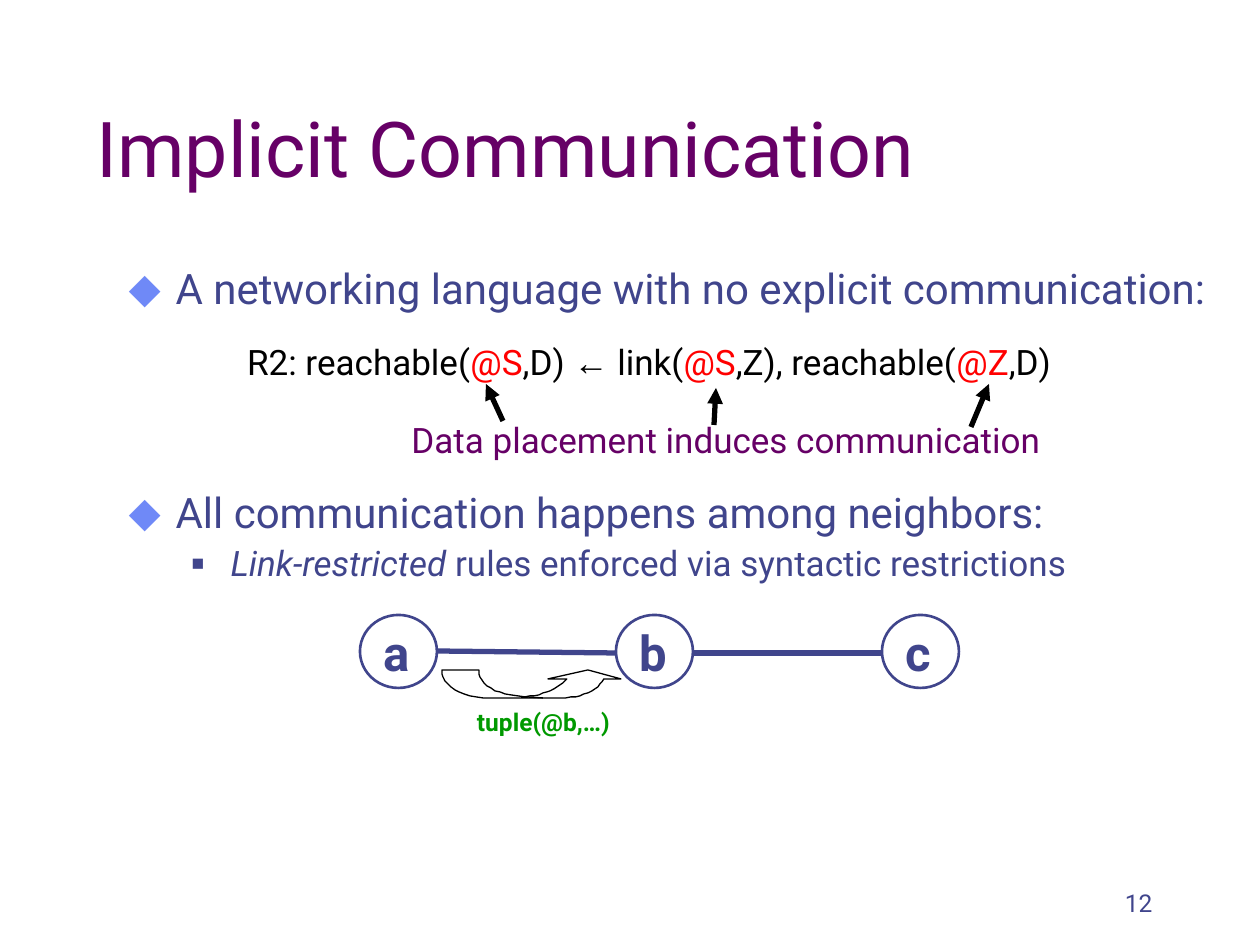
import pptx
import pptx.dml.color
import pptx.enum.shapes
import pptx.enum.text
import pptx.oxml
import pptx.util

PX = 914400 // 126
INDIGO, PURPLE, RED, BLACK = "40458C", "660066", "FF0000", "000000"
NAMESPACE = 'xmlns:a="http://schemas.openxmlformats.org/drawingml/2006/main"'
ALIGN = pptx.enum.text.PP_ALIGN
ANCHOR = pptx.enum.text.MSO_ANCHOR
Pt = pptx.util.Pt


def rgb(value):
    return pptx.dml.color.RGBColor.from_string(value)


def write(paragraph, pieces, size, bold=False):
    """Fill a paragraph with runs given as (text, colour) pairs."""
    for text, colour in pieces:
        run = paragraph.add_run()
        run.text = text
        run.font.name = "Arial" if text == "←" else "Roboto"
        run.font.size = Pt(size)
        run.font.bold = bold
        run.font.color.rgb = rgb(colour)


presentation = pptx.Presentation()
presentation.slide_width = 1260 * PX
presentation.slide_height = 945 * PX
slide = presentation.slides.add_slide(presentation.slide_layouts[1])
shapes = slide.shapes

# Title and bullet list
title, body = shapes.title, slide.placeholders[1]
for placeholder, (left, top, width, height) in (
    (title, (84, 42, 1071, 157)),
    (body, (116, 262, 1103, 567)),
):
    placeholder.left, placeholder.top = left * PX, top * PX
    placeholder.width, placeholder.height = width * PX, height * PX
    placeholder.text_frame.auto_size = pptx.enum.text.MSO_AUTO_SIZE.NONE
title.text_frame.vertical_anchor = ANCHOR.BOTTOM
title.text_frame.paragraphs[0].alignment = ALIGN.LEFT
write(title.text_frame.paragraphs[0], [("Implicit Communication", PURPLE)], 44)

# text, level, size, space before, left margin, hanging indent, bullet, colour, percent
bullets = [
    ("A networking language with no explicit communication:",
     0, 24, 6, 47, 47, "⬥", "6F89F7", 110),
    ("All communication happens among neighbors:",
     0, 24, 102, 47, 47, "⬥", "6F89F7", 110),
    ("Link-restricted | rules enforced via syntactic restrictions".replace(" | ", " |"),
     1, 20, 5, 102, 39, "■", INDIGO, 60),
]
for index, (text, level, size, before, margin, hang, mark, colour, percent) in enumerate(bullets):
    frame = body.text_frame
    paragraph = frame.add_paragraph() if index else frame.paragraphs[0]
    paragraph.level = level
    paragraph.line_spacing = 0.9
    paragraph.space_before = Pt(before)
    write(paragraph, [(part, INDIGO) for part in text.split("|")], size)
    properties = paragraph._p.get_or_add_pPr()
    properties.set("marL", str(margin * PX))
    properties.set("indent", str(-hang * PX))
    for element in (
        f'<a:buClr {NAMESPACE}><a:srgbClr val="{colour}"/></a:buClr>',
        f'<a:buSzPct {NAMESPACE} val="{percent * 1000}"/>',
        f'<a:buFont {NAMESPACE} typeface="Arial"/>',
        f'<a:buChar {NAMESPACE} char="{mark}"/>',
    ):
        properties.append(pptx.oxml.parse_xml(element))
paragraph.runs[0].font.italic = True

# Rule, captions and page number
rule = [
    ("R2: reachable(", BLACK), ("@S", RED), (",D) ", BLACK), ("←", BLACK),
    (" link(", BLACK), ("@S", RED), (",Z), reachable(", BLACK),
    ("@Z", RED), (",D)", BLACK),
]
labels = [
    ((215, 334, 868, 55), rule, 20, False, ALIGN.CENTER, ANCHOR.TOP),
    ((348, 412, 756, 55), [("Data placement induces communication", PURPLE)],
     20, False, ALIGN.CENTER, ANCHOR.TOP),
    ((437, 701, 213, 43), [("tuple(@b,…)", "009900")], 14, True, ALIGN.CENTER, ANCHOR.TOP),
    ((903, 861, 262, 63), [("12", INDIGO)], 14, False, ALIGN.RIGHT, ANCHOR.BOTTOM),
]
for box, pieces, size, bold, alignment, anchor in labels:
    label = shapes.add_textbox(*(value * PX for value in box))
    label.text_frame.word_wrap = True
    label.text_frame.vertical_anchor = anchor
    label.text_frame.paragraphs[0].alignment = alignment
    write(label.text_frame.paragraphs[0], pieces, size, bold)

# Pointers to the location attributes, then links between nodes
lines = [
    ((714, 425, 716, 388), BLACK, True),
    ((503, 421, 486, 384), BLACK, True),
    ((971, 427, 989, 384), BLACK, True),
    ((437, 651, 615, 653), INDIGO, False),
    ((694, 653, 881, 653), INDIGO, False),
]
for ends, colour, has_arrowhead in lines:
    line = shapes.add_connector(
        pptx.enum.shapes.MSO_CONNECTOR.STRAIGHT, *(value * PX for value in ends))
    line.line.color.rgb = rgb(colour)
    line.line.width = Pt(3)
    if has_arrowhead:
        line.line._get_or_add_ln().append(
            pptx.oxml.parse_xml(f'<a:tailEnd {NAMESPACE} type="triangle"/>'))
    line._element.spPr.append(pptx.oxml.parse_xml(f"<a:effectLst {NAMESPACE}/>"))

# Network nodes
for name, left in (("a", 360), ("b", 616), ("c", 882)):
    node = shapes.add_shape(pptx.enum.shapes.MSO_SHAPE.OVAL,
                            left * PX, 615 * PX, 77 * PX, 73 * PX)
    node.shadow.inherit = False
    node.fill.background()
    node.line.color.rgb = rgb(INDIGO)
    node.line.width = Pt(1.5)
    node.text_frame.vertical_anchor = ANCHOR.MIDDLE
    node.text_frame.paragraphs[0].alignment = ALIGN.LEFT
    write(node.text_frame.paragraphs[0], [(name, INDIGO)], 28, True)

# Curved arrow carrying the tuple: each segment has one point (line) or three (Bézier)
segments = [
    [(442, 685), (460, 698), (490, 698)],
    [(561, 698)],
    [(582, 698), (598, 690), (604, 679)],
    [(621, 679)], [(588, 670)], [(548, 679)], [(567, 679)],
    [(560, 688), (544, 695), (525, 697)],
    [(495, 695), (479, 685), (479, 670)],
]
outline = [(442, 670)]
for segment in segments:
    if len(segment) == 1:
        outline += segment
        continue
    controls = [outline[-1], *segment]
    for step in range(1, 13):
        t = step / 12
        weights = ((1 - t) ** 3, 3 * t * (1 - t) ** 2, 3 * t * t * (1 - t), t ** 3)
        outline.append(tuple(
            sum(weight * point[axis] for weight, point in zip(weights, controls))
            for axis in (0, 1)))
builder = shapes.build_freeform(*outline[0], scale=PX)
builder.add_line_segments(outline[1:], close=True)
# The lower edge of the tail shows through to the tip of the fold
builder.move_to(525, 697)
builder.add_line_segments([(543, 698)], close=False)
arrow = builder.convert_to_shape()
arrow.shadow.inherit = False
arrow.fill.background()
arrow.line.color.rgb = rgb(BLACK)
arrow.line.width = Pt(0.75)

presentation.save("out.pptx")
